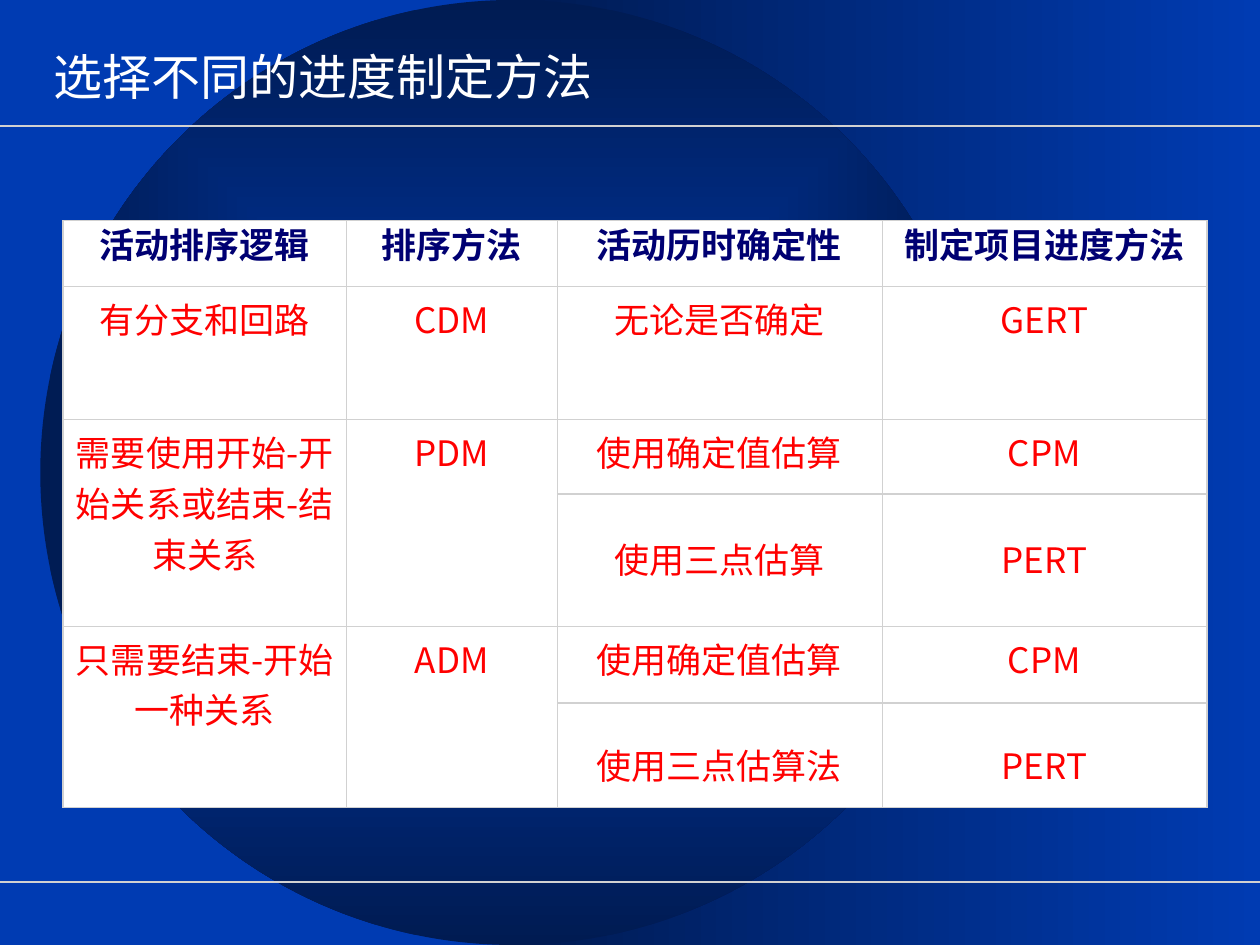
from dataclasses import dataclass

import pptx
import pptx.dml.color
import pptx.enum.shapes
import pptx.enum.text
import pptx.oxml
import pptx.oxml.ns
import pptx.util
from pptx.util import Inches

NAMESPACE = pptx.oxml.ns.nsdecls("a")


@dataclass(frozen=True)
class Theme:
    blue: str = "003BB2"
    navy: str = "001B52"
    rule: str = "D1D1D1"
    white: str = "FFFFFF"
    header: str = "000072"
    body: str = "FF0000"
    header_font: str = "Arial"
    body_font: str = "Noto Sans CJK SC"
    title_size: float = 28
    table_size: float = 20
    estimate_gap: float = 32
    inner_border: float = 0.45
    outer_border: float = 1.08


@dataclass(frozen=True)
class Rule:
    left: float
    right: float
    y: float
    weight: float


@dataclass(frozen=True)
class Box:
    left: float
    top: float
    width: float
    height: float

    def lengths(self) -> tuple:
        return tuple(Inches(v) for v in (self.left, self.top, self.width, self.height))


THEME = Theme()
TABLE = Box(0.5, 1.75, 9.08, 4.66)
COLUMN_WIDTHS = (2.25, 1.67, 2.58, 2.58)
ROW_HEIGHTS = (0.52, 1.06, 1.64, 1.44)
ROWS = (
    ("活动排序逻辑", "排序方法", "活动历时确定性", "制定项目进度方法"),
    ("有分支和回路", "CDM", "无论是否确定", "GERT"),
    ("需要使用开始-开始关系或结束-结束关系", "PDM",
     "使用确定值估算\n使用三点估算", "CPM\nPERT"),
    ("只需要结束-开始一种关系", "ADM",
     "使用确定值估算\n使用三点估算法", "CPM\nPERT"),
)
PAGE_RULES = (Rule(0, 10, 1, 1), Rule(0, 10, 7, 1))
ESTIMATE_RULES = (Rule(4.42, 9.58, 3.92, 0.75), Rule(4.42, 9.58, 5.58, 0.75))


def rgb(value: str) -> pptx.dml.color.RGBColor:
    return pptx.dml.color.RGBColor.from_string(value)


def format_runs(paragraph, font_name: str, size: float, color: str, bold: bool = False) -> None:
    for run in paragraph.runs:
        font = run.font
        font.name = font_name
        font.size = pptx.util.Pt(size)
        font.bold = bold
        font.color.rgb = rgb(color)
        latin = run._r.get_or_add_rPr().find(pptx.oxml.ns.qn("a:latin"))
        latin.addnext(pptx.oxml.parse_xml(f'<a:ea {NAMESPACE} typeface="{font_name}"/>'))


def add_gradient_shape(slide, kind, box: Box, start: str, end: str):
    shape = slide.shapes.add_shape(kind, *box.lengths())
    shape.shadow.inherit = False
    shape.line.fill.background()
    shape.fill.gradient()
    shape.fill.gradient_angle = 0
    for stop, color in zip(shape.fill.gradient_stops, (start, end)):
        stop.color.rgb = rgb(color)
    return shape


def spread_from_center(shape) -> None:
    """Turn the linear gradient into a rectangular one around the center."""
    linear = shape._element.spPr.find(".//" + pptx.oxml.ns.qn("a:lin"))
    center = pptx.oxml.parse_xml(
        f'<a:path {NAMESPACE} path="rect">'
        '<a:fillToRect l="50000" t="50000" r="50000" b="50000"/></a:path>')
    linear.getparent().replace(linear, center)


def add_rule(slide, rule: Rule) -> None:
    connector = slide.shapes.add_connector(
        pptx.enum.shapes.MSO_CONNECTOR.STRAIGHT,
        Inches(rule.left), Inches(rule.y), Inches(rule.right), Inches(rule.y))
    connector.line.color.rgb = rgb(THEME.rule)
    connector.line.width = pptx.util.Pt(rule.weight)
    connector._element.spPr.append(pptx.oxml.parse_xml(f"<a:effectLst {NAMESPACE}/>"))


def add_title(slide, text: str) -> None:
    text_box = slide.shapes.add_textbox(*Box(0.33, 0.14, 7.83, 0.92).lengths())
    text_frame = text_box.text_frame
    text_frame.word_wrap = True
    text_frame.vertical_anchor = pptx.enum.text.MSO_ANCHOR.MIDDLE
    text_frame.text = text
    format_runs(text_frame.paragraphs[0], THEME.body_font, THEME.title_size, THEME.white)


def set_borders(cell, column: int) -> None:
    outer_sides = {"L": column == 0, "R": column == len(COLUMN_WIDTHS) - 1}
    properties = cell._tc.get_or_add_tcPr()
    for side in "LRTB":
        weight = THEME.outer_border if outer_sides.get(side) else THEME.inner_border
        properties.append(pptx.oxml.parse_xml(
            f'<a:ln{side} {NAMESPACE} w="{int(pptx.util.Pt(weight))}">'
            f'<a:solidFill><a:srgbClr val="{THEME.rule}"/></a:solidFill></a:ln{side}>'))


def fill_cell(cell, text: str, is_header: bool) -> None:
    cell.fill.solid()
    cell.fill.fore_color.rgb = rgb(THEME.white)
    cell.text_frame.text = text
    font_name = THEME.header_font if is_header else THEME.body_font
    color = THEME.header if is_header else THEME.body
    for index, paragraph in enumerate(cell.text_frame.paragraphs):
        paragraph.alignment = pptx.enum.text.PP_ALIGN.CENTER
        if index:
            paragraph.space_before = pptx.util.Pt(THEME.estimate_gap)
        format_runs(paragraph, font_name, THEME.table_size, color, is_header)


def add_method_table(slide) -> None:
    table = slide.shapes.add_table(len(ROWS), len(COLUMN_WIDTHS), *TABLE.lengths()).table
    table.horz_banding = False
    for column, width in zip(table.columns, COLUMN_WIDTHS):
        column.width = Inches(width)
    for row, height in zip(table.rows, ROW_HEIGHTS):
        row.height = Inches(height)
    for row_index, texts in enumerate(ROWS):
        for column_index, text in enumerate(texts):
            cell = table.cell(row_index, column_index)
            set_borders(cell, column_index)
            fill_cell(cell, text, is_header=row_index == 0)


def main() -> None:
    presentation = pptx.Presentation()
    presentation.slide_width = Inches(10)
    presentation.slide_height = Inches(7.5)
    slide = presentation.slides.add_slide(presentation.slide_layouts[6])
    slide.background.fill.solid()
    slide.background.fill.fore_color.rgb = rgb(THEME.blue)

    shape_kinds = pptx.enum.shapes.MSO_SHAPE
    add_gradient_shape(slide, shape_kinds.RECTANGLE, Box(4.08, 0, 5.92, 7.5),
                       THEME.navy, THEME.blue)
    disc = add_gradient_shape(slide, shape_kinds.OVAL, Box(0.32, 0, 7.5, 7.5),
                              THEME.blue, THEME.navy)
    spread_from_center(disc)
    for rule in PAGE_RULES:
        add_rule(slide, rule)
    add_title(slide, "选择不同的进度制定方法")
    add_method_table(slide)
    for rule in ESTIMATE_RULES:
        add_rule(slide, rule)
    presentation.save("out.pptx")


if __name__ == "__main__":
    main()
